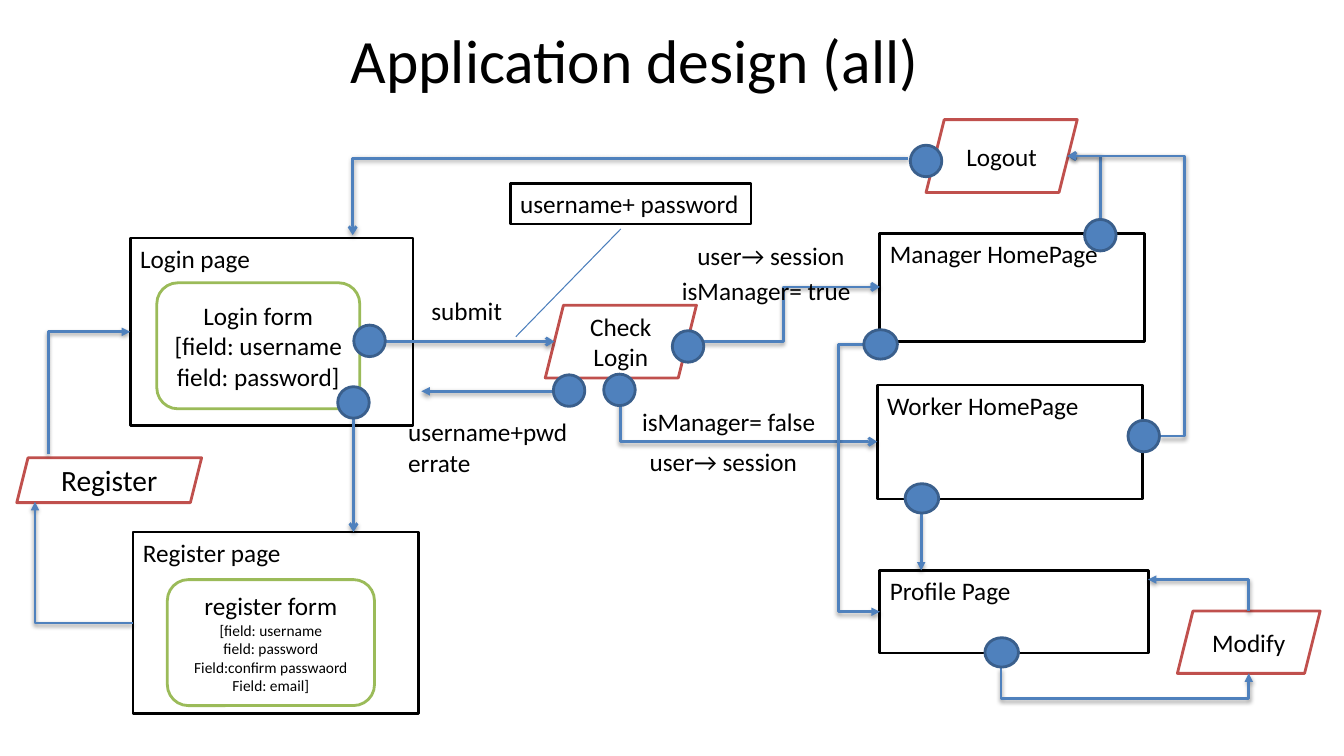
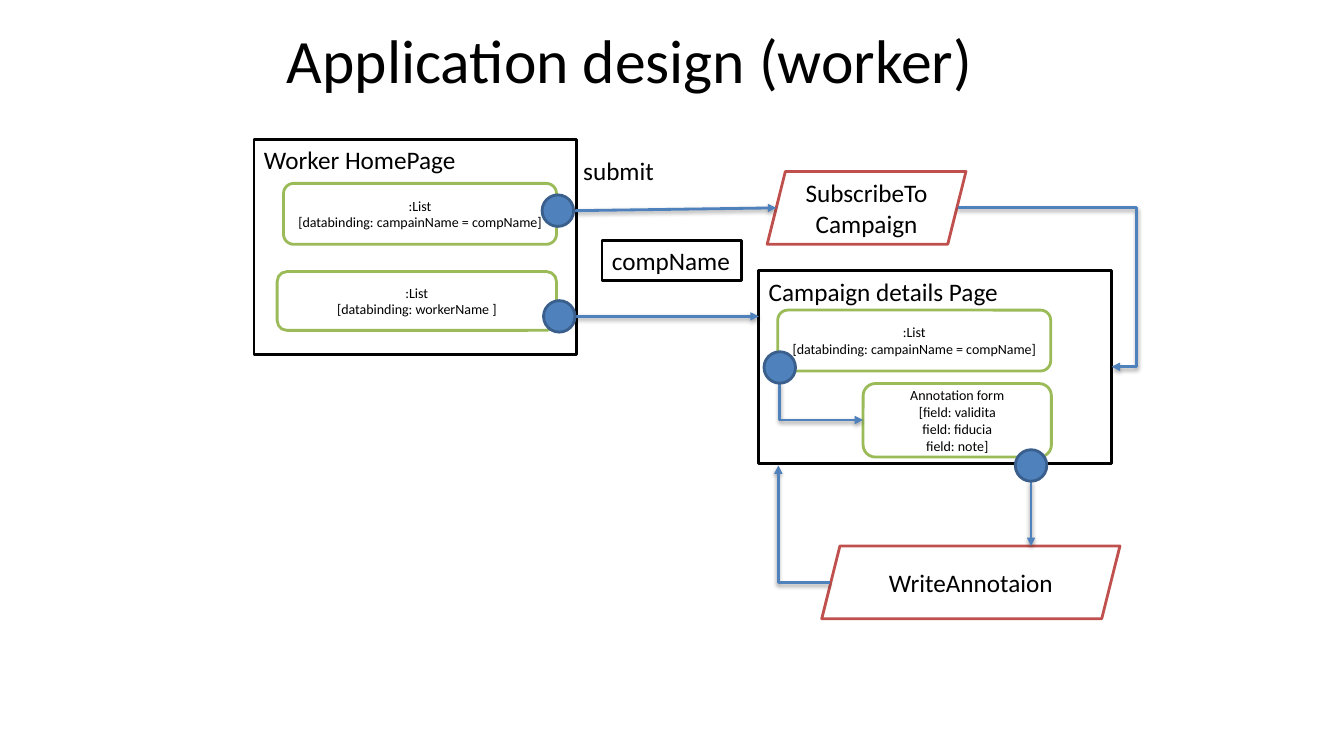
from pptx import Presentation
from pptx.dml.color import RGBColor
from pptx.enum import shapes, text
from pptx.oxml.ns import qn
from pptx.util import Pt
from lxml import etree

BLACK = RGBColor(0x00, 0x00, 0x00)
WHITE = RGBColor(0xFF, 0xFF, 0xFF)
BLUE = RGBColor(0x4F, 0x81, 0xBD)
NAVY = RGBColor(0x3A, 0x5F, 0x8C)
THIN = RGBColor(0x4B, 0x7E, 0xBC)
GREEN = RGBColor(0x9B, 0xBB, 0x59)
RED = RGBColor(0xC0, 0x50, 0x4D)
FONT = "Calibri"

KIND = shapes.MSO_SHAPE
LINE = shapes.MSO_CONNECTOR
TOP, MID = text.MSO_ANCHOR.TOP, text.MSO_ANCHOR.MIDDLE
LEFT, CENTER = text.PP_ALIGN.LEFT, text.PP_ALIGN.CENTER
ROUND = (22.5, 22.5)
OVAL = (24, 21)


def write(shape, words, size=18, align=LEFT, anchor=TOP, wrap=True):
    frame = shape.text_frame
    frame.text = words
    for key, val in {"word_wrap": wrap, "vertical_anchor": anchor}.items():
        setattr(frame, key, val)
    for para in frame.paragraphs:
        para.alignment = align
        for run in para.runs:
            for key, val in {"name": FONT, "size": Pt(size)}.items():
                setattr(run.font, key, val)
            run.font.color.rgb = BLACK


def node(slide, kind, box, edge, fill=WHITE):
    """Add a filled, outlined shape without a shadow."""
    shape = slide.shapes.add_shape(kind, *map(Pt, box))
    shape.shadow.inherit = False
    shape.fill.solid()
    shape.fill.fore_color.rgb = fill
    shape.line.color.rgb = edge
    shape.line.width = Pt(2)
    return shape


def head(slide, words, left):
    box = slide.shapes.add_textbox(*map(Pt, (left, -3, 864, 90)))
    write(box, words, 44, CENTER, MID)


def page(slide, box, words, forms=()):
    """Draw a page; each form is offset from its top left corner."""
    write(node(slide, KIND.RECTANGLE, box, BLACK), words)
    for (dx, dy, wide, high), lines, size, first in forms:
        spot = (box[0] + dx, box[1] + dy, wide, high)
        form = node(slide, KIND.ROUNDED_RECTANGLE, spot, GREEN)
        write(form, lines, size, CENTER, MID, wrap=False)
        form.text_frame.paragraphs[0].runs[0].font.size = Pt(first)


def action(slide, box, words, size=18):
    write(node(slide, KIND.PARALLELOGRAM, box, RED), words, size, CENTER, MID)


def badge(slide, box, words):
    write(node(slide, KIND.RECTANGLE, box, BLACK), words, wrap=False)


def label(slide, box, words, wrap=False):
    write(slide.shapes.add_textbox(*map(Pt, box)), words, wrap=wrap)


def dot(slide, x, y, size=ROUND):
    wide, high = size
    box = (x - wide / 2, y - high / 2, wide, high)
    node(slide, KIND.OVAL, box, NAVY, BLUE)


def join(slide, kind, ends, color, width):
    line = slide.shapes.add_connector(kind, *map(Pt, ends))
    line.line.color.rgb = color
    line.line.width = Pt(width)
    return line


def note(slide, *ends):
    """Draw a thin pointer without a shadow."""
    line = join(slide, LINE.STRAIGHT, ends, THIN, 0.75)
    etree.SubElement(line._element.spPr, qn("a:effectLst"))


def link(slide, tip, *pts):
    """Draw an arrow through two, three or four points; the theme shades it."""
    (x1, y1), (x2, y2) = pts[0], pts[-1]
    ends = (x1, y1, x2, y2)
    bent = len(pts) > 2
    down = bent and pts[0][0] == pts[1][0]
    if down:
        # A first leg that runs upright is a level one turned by 270 degrees.
        cx, cy = (x1 + x2) / 2, (y1 + y2) / 2
        dx, dy = (y1 - y2) / 2, (x2 - x1) / 2
        ends = (cx - dx, cy - dy, cx + dx, cy + dy)
    line = join(slide, LINE.ELBOW if bent else LINE.STRAIGHT, ends, BLUE, 2)
    props = line._element.spPr
    if down:
        props.find(qn("a:xfrm")).set("rot", str(270 * 60000))
    if bent:
        geom = props.find(qn("a:prstGeom"))
        geom.set("prst", f"bentConnector{len(pts) - 1}")
        if len(pts) == 4:
            axis = 1 if down else 0
            start, turn, stop = (pts[i][axis] for i in (0, 1, 3))
            part = round((turn - start) / (stop - start) * 100000)
            guides = geom.find(qn("a:avLst"))
            if guides is None:
                guides = etree.SubElement(geom, qn("a:avLst"))
            etree.SubElement(guides, qn("a:gd"), name="adj1", fmla=f"val {part}")
    etree.SubElement(props.find(qn("a:ln")), qn("a:tailEnd"), type=tip)


def draw(slide, parts):
    """Run each drawing function over its rows, from back to front."""
    for func, rows in parts:
        for row in rows:
            func(slide, *row)


LIST = ":List\n[databinding: campainName = compName]"

OVERALL = [
    (head, [("Application design (all)", 21.5)]),
    (page, [
        ((93, 170, 202, 134), "Login page", [
            ((19, 32, 145, 90),
             "Login form\v[field: username\nfield: password]", 18, 18)]),
        ((628.5, 167, 189, 77), "Manager HomePage"),
        ((626.5, 275, 189.5, 81.5), "Worker HomePage"),
        ((95, 380, 204, 129.5), "Register page", [
            ((24.5, 34, 148, 90),
             "register form\v[field: username\nfield: password\n"
             "Field:confirm passwaord\nField: email]", 11, 18)]),
        ((628.5, 407.5, 192, 59), "Profile Page"),
    ]),
    (action, [
        ((389.5, 218, 108, 52), "Check\vLogin"),
        ((661.5, 85.5, 108, 52), "Logout"),
        ((12, 327, 132, 32), "Register", 21),
        ((841, 436.5, 102, 44.5), "Modify"),
    ]),
    (badge, [((364.5, 131, 172, 29), "username+ password")]),
    (note, [(443.5, 163.5, 368.5, 240.5)]),
    (link, [
        ("arrow", (490.5, 244), (559.5, 244), (559.5, 205), (628.5, 205)),
        ("arrow", (443, 270), (443, 315.5), (626.5, 315.5)),
        ("arrow", (275, 244), (396, 244)),
        ("arrow", (786, 157), (786, 111.5), (762.5, 111.5)),
        ("arrow", (648.5, 113), (252, 113), (252, 168)),
        ("arrow", (252.5, 299), (252.5, 380)),
        ("triangle", (95, 445), (25, 445), (25, 358.5)),
        ("triangle", (34.5, 324), (34.5, 237), (93, 237)),
        ("triangle", (828, 311.5), (846, 311.5), (846, 111.5), (762.5, 111.5)),
        ("triangle", (658, 367), (658, 407.5)),
        ("triangle", (617, 246), (599, 246), (599, 437), (628.5, 437)),
        ("triangle", (395, 279.5), (301, 279.5)),
        ("triangle", (892, 436.5), (892, 414), (820, 414)),
        ("triangle", (715, 477), (715, 499), (892, 499), (892, 481)),
    ]),
    (label, [
        ((301, 207.5, 65.5, 29), "submit"),
        ((480, 193, 137, 29), "isManager= true"),
        ((451.5, 286.5, 140, 29), "isManager= false"),
        ((284.5, 294, 132, 51), "username+pwd errate", True),
        ((491, 168, 122.5, 29), "user→ session"),
        ((457, 315.5, 122.5, 29), "user→ session"),
    ]),
    (dot, [
        (264, 243.5), (491.5, 247.5), (442.5, 278.5), (406.5, 279),
        (786, 168), (661.5, 115), (252.5, 287.5), (817, 311.5),
        (658.5, 356, OVAL), (629, 246, OVAL), (715.5, 466, OVAL),
    ]),
]

WORKER = [
    (head, [("Application design (worker)", 18)]),
    (page, [
        ((181.5, 99.5, 230.5, 153.5), "Worker HomePage", [
            ((21, 31.5, 195, 43.5), LIST, 10, 10),
            ((16.5, 94.5, 199.5, 42),
             ":List\n[databinding: workerName ]", 10, 10)]),
        ((542, 193.5, 252, 137.5), "Campaign details Page", [
            ((13.5, 28, 195, 43.5), LIST, 10, 10),
            ((74.5, 80.5, 134.5, 52.5),
             "Annotation form\v[field: validita\nfield: fiducia\nfield: note]",
             10, 10)]),
    ]),
    (action, [
        ((548, 122.5, 142, 52), "SubscribeTo Campaign"),
        ((587, 390, 213, 52), "WriteAnnotaion"),
    ]),
    (badge, [((430, 171.5, 100, 29), "compName")]),
    (link, [
        ("triangle", (410.5, 226), (542, 226)),
        ("triangle", (410, 150.5), (554.5, 148.5)),
        ("triangle", (684, 148.5), (812, 148.5), (812, 262), (794, 262)),
        ("triangle", (557, 273.5), (557, 300), (616.5, 300)),
        ("triangle", (736.5, 343.5), (736.5, 390)),
        ("triangle", (593, 416), (556, 416), (556, 332.5)),
    ]),
    (label, [((409.5, 107.5, 65.5, 29), "submit")]),
    (dot, [(398.5, 150.5), (399.5, 226), (557, 262.5), (736.5, 332.5)]),
]


def main():
    deck = Presentation()
    deck.slide_width, deck.slide_height = Pt(960), Pt(540)
    for parts in (OVERALL, WORKER):
        draw(deck.slides.add_slide(deck.slide_layouts[6]), parts)
    deck.save("out.pptx")


if __name__ == "__main__":
    main()
